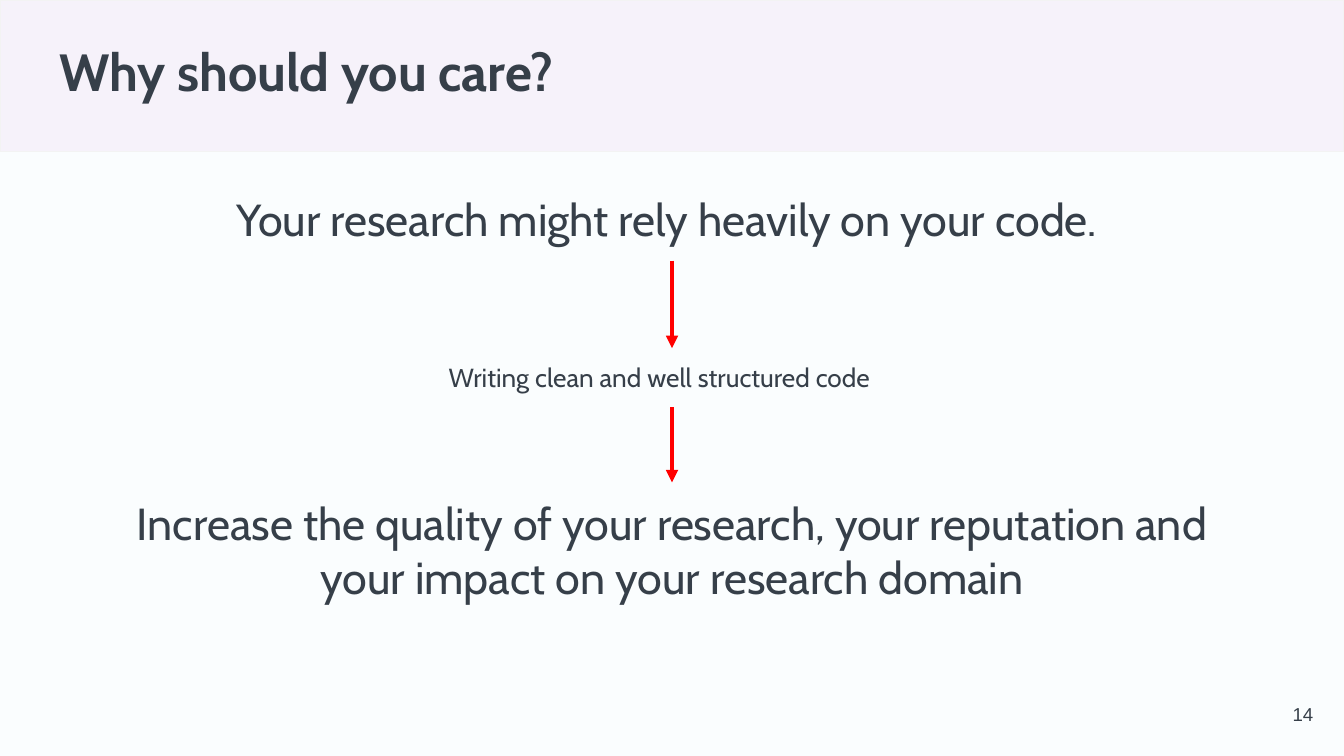
from lxml.etree import SubElement
from pptx import Presentation
from pptx.dml.color import RGBColor
from pptx.enum.shapes import MSO_CONNECTOR, MSO_SHAPE
from pptx.enum.text import MSO_ANCHOR, MSO_AUTO_SIZE, PP_ALIGN
from pptx.oxml.ns import qn
from pptx.util import Inches, Pt

BACKGROUND = RGBColor(0xFA, 0xFD, 0xFE)
BAND_FILL = RGBColor(0xF6, 0xF2, 0xFA)
BAND_EDGE = RGBColor(0xF3, 0xF3, 0xF3)
INK = RGBColor(0x36, 0x3F, 0x49)
RED = RGBColor(0xFF, 0x00, 0x00)

BOTTOM_SIDE, TOP_SIDE = 2, 0


def write(frame, text, size, align=PP_ALIGN.LEFT, anchor=MSO_ANCHOR.TOP,
          font="Cabin", bold=False):
    frame.text = text
    frame.word_wrap = True
    frame.auto_size = MSO_AUTO_SIZE.NONE
    frame.vertical_anchor = anchor
    frame.margin_left = frame.margin_right = Inches(0.1)
    frame.margin_top = frame.margin_bottom = Inches(0.1)
    paragraph = frame.paragraphs[0]
    paragraph.alignment = align
    for run in paragraph.runs:
        run.font.name = font
        run.font.size = Pt(size)
        run.font.bold = bold
        run.font.color.rgb = INK


def add_band(slide, width):
    band = slide.shapes.add_shape(MSO_SHAPE.RECTANGLE, 0, 0, width, Inches(1.13))
    band.shadow.inherit = False
    band.fill.solid()
    band.fill.fore_color.rgb = BAND_FILL
    band.line.color.rgb = BAND_EDGE
    band.line.width = Pt(0.75)
    slide.shapes._spTree.insert(2, band._element)


def set_title(slide, text):
    title = slide.shapes.title
    title.left, title.top = Inches(0.34), Inches(0.19)
    title.width, title.height = Inches(8.92), Inches(0.74)
    write(title.text_frame, text, 28, bold=True)


def add_text(slide, text, left, top, width, height, size, **style):
    box = slide.shapes.add_textbox(
        Inches(left), Inches(top), Inches(width), Inches(height))
    write(box.text_frame, text, size, **style)
    return box


def add_arrow(slide, cause, effect):
    arrow = slide.shapes.add_connector(MSO_CONNECTOR.STRAIGHT, 0, 0, 0, 0)
    arrow.begin_connect(cause, BOTTOM_SIDE)
    arrow.end_connect(effect, TOP_SIDE)
    arrow.line.color.rgb = RED
    arrow.line.width = Pt(2.25)
    SubElement(arrow.line._get_or_add_ln(), qn("a:tailEnd"), type="triangle")
    SubElement(arrow._element.spPr, qn("a:effectLst"))


def main():
    presentation = Presentation()
    presentation.slide_width = Inches(10)
    presentation.slide_height = Inches(10 * 9 / 16)
    slide = presentation.slides.add_slide(presentation.slide_layouts[5])
    slide.background.fill.solid()
    slide.background.fill.fore_color.rgb = BACKGROUND

    add_band(slide, presentation.slide_width)
    set_title(slide, "Why should you care?")
    add_text(slide, "14", 9.27, 5.1, 0.6, 0.43, 10, align=PP_ALIGN.RIGHT,
             anchor=MSO_ANCHOR.MIDDLE, font="Arial")

    reliance = add_text(
        slide, "Your research might rely heavily on your code. ",
        0.77, 1.33, 8.46, 0.61, 24, align=PP_ALIGN.CENTER)
    practice = add_text(
        slide, "Writing clean and well structured code",
        3.24, 2.59, 3.52, 0.44, 14)
    benefit = add_text(
        slide, "Increase the quality of your research, your reputation and "
        "your impact on your research domain",
        0.77, 3.59, 8.46, 1.01, 24, align=PP_ALIGN.CENTER)

    add_arrow(slide, reliance, practice)
    add_arrow(slide, practice, benefit)
    presentation.save("out.pptx")


if __name__ == "__main__":
    main()
